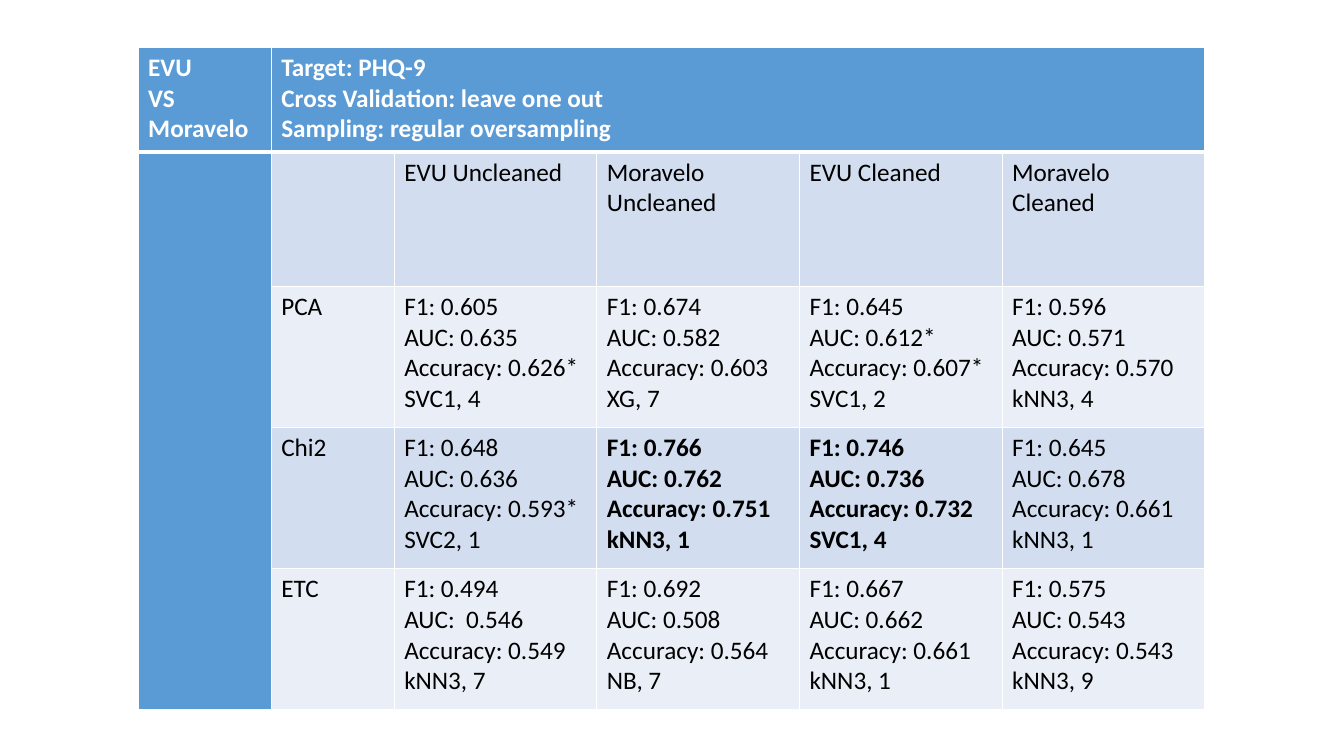
from lxml import etree
from pptx import Presentation
from pptx.dml.color import RGBColor
from pptx.oxml.ns import qn
from pptx.util import Inches, Pt

WHITE, BLACK, BLUE = "FFFFFF", "000000", "5B9BD5"
BANDS = ["D2DEEF", "EAEFF7"]
COLUMN_WIDTHS = [1.32, 1.22] + [2.01] * 4
ROW_HEIGHTS = [1.04, 1.33] + [1.4] * 3

CORNER = "EVU\nVS\nMoravelo"
SETUP = "Target: PHQ-9\nCross Validation: leave one out\nSampling: regular oversampling"
DATASETS = ["EVU Uncleaned", "Moravelo Uncleaned", "EVU Cleaned", "Moravelo Cleaned"]
# Each result holds F1, AUC, accuracy and the model with its feature count.
RESULTS = {
    "PCA": [
        ("0.605", "0.635", "0.626*", "SVC1, 4"),
        ("0.674", "0.582", "0.603", "XG, 7"),
        ("0.645", "0.612*", "0.607*", "SVC1, 2"),
        ("0.596", "0.571", "0.570", "kNN3, 4"),
    ],
    "Chi2": [
        ("0.648", "0.636", "0.593*", "SVC2, 1"),
        ("0.766", "0.762", "0.751", "kNN3, 1"),
        ("0.746", "0.736", "0.732", "SVC1, 4"),
        ("0.645", "0.678", "0.661", "kNN3, 1"),
    ],
    "ETC": [
        ("0.494", " 0.546", "0.549", "kNN3, 7"),
        ("0.692", "0.508", "0.564", "NB, 7"),
        ("0.667", "0.662", "0.661", "kNN3, 1"),
        ("0.575", "0.543", "0.543", "kNN3, 9"),
    ],
}
BEST_RESULTS = {(3, 3), (3, 4)}


def rgb(value):
    return RGBColor.from_string(value)


def result_text(result):
    f1, auc, accuracy, model = result
    return f"F1: {f1}\nAUC: {auc}\nAccuracy: {accuracy}\n{model}"


def set_borders(cell, top, bottom):
    """Draw white cell borders; top and bottom are widths in points."""
    properties = cell._tc.get_or_add_tcPr()
    for side, width in (("L", 1), ("R", 1), ("T", top), ("B", bottom)):
        line = etree.SubElement(properties, qn(f"a:ln{side}"), w=str(Pt(width)))
        fill = etree.SubElement(line, qn("a:solidFill"))
        etree.SubElement(fill, qn("a:srgbClr"), val=WHITE)


def format_cell(cell, content, fill, color, bold):
    cell.fill.solid()
    cell.fill.fore_color.rgb = rgb(fill)
    cell.text = content
    for para in cell.text_frame.paragraphs:
        para.font.name = "Calibri"
        para.font.size = Pt(18)
        para.font.bold = bold
        para.font.color.rgb = rgb(color)


def add_results_table(page):
    rows = [[CORNER, SETUP] + [""] * 4, ["", ""] + DATASETS]
    rows += [["", method] + [result_text(result) for result in results]
             for method, results in RESULTS.items()]

    frame = page.shapes.add_table(
        len(rows), len(COLUMN_WIDTHS), Inches(1.37), Inches(0.47),
        Inches(sum(COLUMN_WIDTHS)), Inches(sum(ROW_HEIGHTS)))
    table = frame.table
    for column, width in zip(table.columns, COLUMN_WIDTHS):
        column.width = Inches(width)
    for row, height in zip(table.rows, ROW_HEIGHTS):
        row.height = Inches(height)

    for r, contents in enumerate(rows):
        for c, content in enumerate(contents):
            cell = table.cell(r, c)
            heading = r == 0 or c == 0
            set_borders(cell, top=3 if r == 1 else 1, bottom=3 if r == 0 else 1)
            format_cell(cell, content,
                        fill=BLUE if heading else BANDS[(r - 1) % 2],
                        color=WHITE if heading else BLACK,
                        bold=heading or (r, c) in BEST_RESULTS)

    table.cell(0, 1).merge(table.cell(0, 5))
    table.cell(1, 0).merge(table.cell(4, 0))


def main():
    deck = Presentation()
    deck.slide_width, deck.slide_height = Inches(13.33), Inches(7.5)
    page = deck.slides.add_slide(deck.slide_layouts[6])
    add_results_table(page)
    deck.save("out.pptx")


if __name__ == "__main__":
    main()
